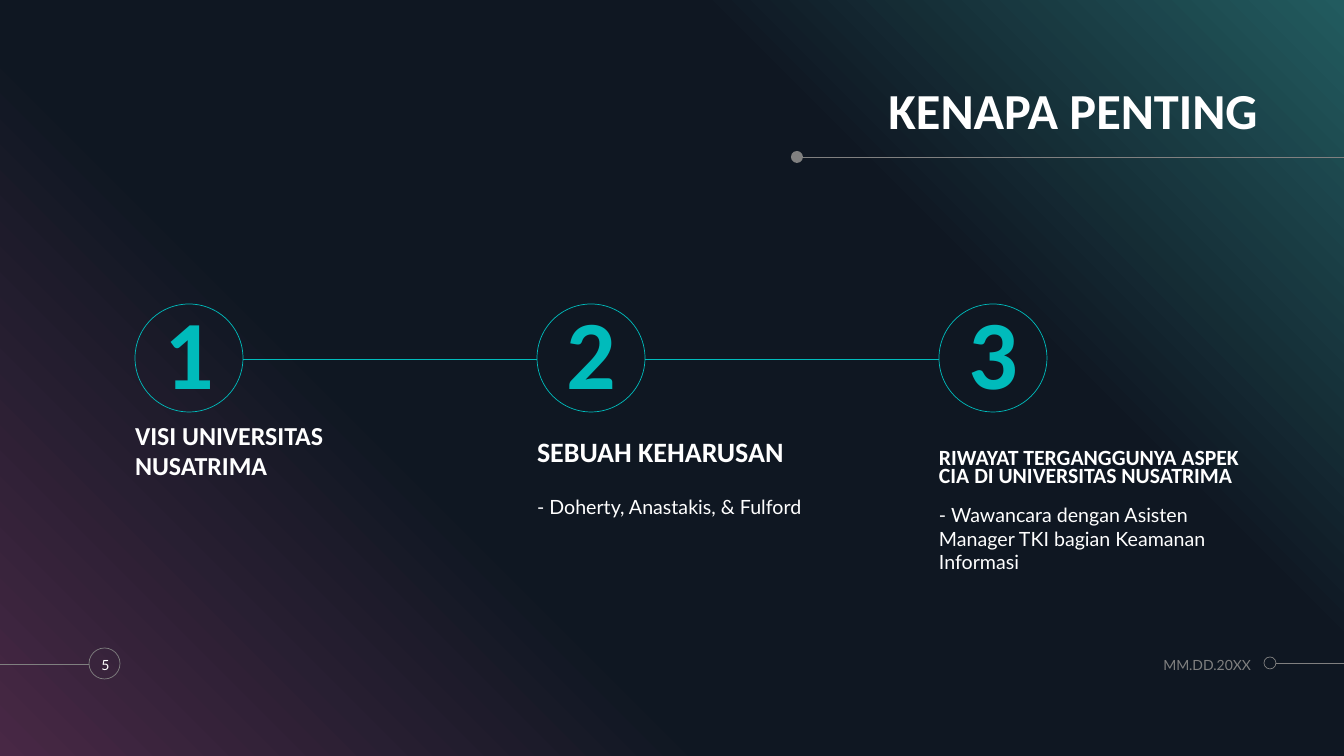
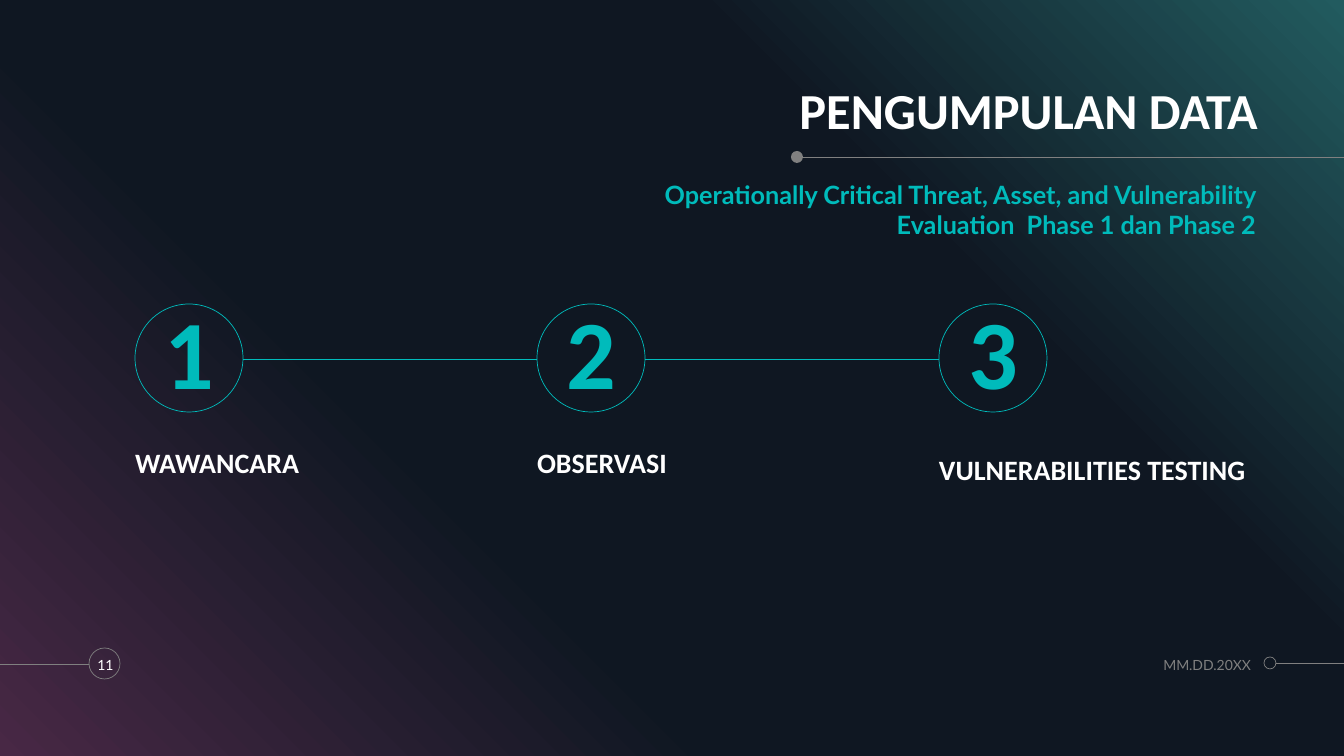
from pptx import Presentation, util as u
from pptx.dml.color import RGBColor
from pptx.enum import shapes, text
from pptx.oxml import parse_xml
from pptx.oxml.ns import nsdecls, qn
from lxml import etree

# Shared look
PX = 914400 / 100.8
WIDE, HIGH = 1344, 756
WHITE = RGBColor(0xFF, 0xFF, 0xFF)
GREY = RGBColor(0x80, 0x80, 0x80)
TEAL = RGBColor(0x00, 0xBB, 0xBB)
STOPS = [(0, "482845"), (34, "0F1722"), (69, "0F1722"), (100, "225B5F")]
HEAD, BODY = "Calibri", "Lato"
LEFT, RIGHT, CENTER = text.PP_ALIGN.LEFT, text.PP_ALIGN.RIGHT, text.PP_ALIGN.CENTER
TOP, MIDDLE, BOTTOM = (text.MSO_ANCHOR.TOP, text.MSO_ANCHOR.MIDDLE,
                       text.MSO_ANCHOR.BOTTOM)

# Step grid
START, STEP, RING, RING_Y = 135, 402, 108, 304
COL, LABEL_Y = 325, 425

# Content: each step has label lines, label height, size, line spacing
# and, where there is one, a note with its top
SLIDES = [
    dict(title="KENAPA PENTING", page="5", steps=[
        dict(label=["VISI UNIVERSITAS", "NUSATRIMA"], high=55, size=18.5, space=0.7),
        dict(label=["SEBUAH KEHARUSAN"], high=44, size=20, space=0.9,
             note="- Doherty, Anastakis, & Fulford", top=495),
        dict(label=["RIWAYAT TERGANGGUNYA ASPEK CIA DI UNIVERSITAS NUSATRIMA"],
             high=62, size=15.5, space=0.7,
             note="- Wawancara dengan Asisten Manager TKI bagian Keamanan Informasi",
             top=503),
    ]),
    dict(title="PENGUMPULAN DATA", page="11",
         sub="Operationally Critical Threat, Asset, and Vulnerability "
             "Evaluation  Phase 1 dan Phase 2",
         steps=[
             dict(label=["WAWANCARA"], high=55, size=20, space=0.9),
             dict(label=["OBSERVASI"], high=55, size=20, space=0.9),
             dict(label=["VULNERABILITIES TESTING"], high=62, size=20, space=0.9),
         ]),
]


def px(*nums):
    return [u.Emu(round(n * PX)) for n in nums]


def write(shape, lines, size, color, font=BODY, bold=False, align=LEFT,
          anchor=TOP, space=1.0, before=0):
    frame = shape.text_frame
    frame.word_wrap = True
    frame.vertical_anchor = anchor
    frame.margin_left = frame.margin_right = 0
    frame.margin_top = frame.margin_bottom = 0
    frame.text = "\n".join(lines)
    for para in frame.paragraphs:
        para.alignment = align
        para.line_spacing = space
        para.space_before = u.Pt(before)
        para.font.size = u.Pt(size)
        para.font.name = font
        para.font.bold = bold
        para.font.color.rgb = color


def label(slide, box, lines, size, color, **style):
    write(slide.shapes.add_textbox(*px(*box)), lines, size, color, **style)


def rule(slide, x1, x2, y, color):
    line = slide.shapes.add_connector(shapes.MSO_CONNECTOR.STRAIGHT,
                                      *px(x1, y, x2, y))
    line.line.color.rgb = color
    line.line.width = u.Pt(0.5)
    etree.SubElement(line._element.spPr, qn("a:effectLst"))


def ring(slide, x, y, size, color, solid=False):
    oval = slide.shapes.add_shape(shapes.MSO_SHAPE.OVAL, *px(x, y, size, size))
    oval.shadow.inherit = False
    if solid:
        oval.fill.solid()
        oval.fill.fore_color.rgb = color
        oval.line.fill.background()
    else:
        oval.fill.background()
        oval.line.color.rgb = color
        oval.line.width = u.Pt(0.5)
    return oval


def backdrop(slide):
    rect = slide.shapes.add_shape(shapes.MSO_SHAPE.RECTANGLE,
                                  *px(0, 0, WIDE, HIGH))
    rect.shadow.inherit = False
    rect.line.fill.background()
    rect.fill.gradient()
    rect.fill.gradient_angle = 45
    stops = rect._element.spPr.find(qn("a:gradFill")).find(qn("a:gsLst"))
    for old in list(stops):
        stops.remove(old)
    for pos, color in STOPS:
        stops.append(parse_xml(
            f'<a:gs {nsdecls("a")} pos="{pos * 1000}">'
            f'<a:srgbClr val="{color}"/></a:gs>'))


def frame(slide, title, page):
    backdrop(slide)
    # Title and its rule
    rule(slide, 800, WIDE, 157, GREY)
    ring(slide, 791, 151, 12, GREY, solid=True)
    label(slide, (562, 78, 696, 62), [title], 36, WHITE, font=HEAD, bold=True,
          align=RIGHT, anchor=BOTTOM, space=0.9)
    # Footer
    rule(slide, 1276, WIDE, 663, GREY)
    ring(slide, 1264, 657, 12, GREY)
    rule(slide, 0, 89, 664, GREY)
    ring(slide, 89, 648, 31, GREY)
    label(slide, (1104, 648, 147, 33), ["MM.DD.20XX"], 10, GREY,
          align=RIGHT, anchor=MIDDLE)
    label(slide, (86, 648, 39, 33), [page], 10, WHITE,
          align=CENTER, anchor=MIDDLE)


def chain(slide, steps):
    for i, step in enumerate(steps):
        x = START + i * STEP
        if i:
            rule(slide, x - STEP + RING, x, 359, TEAL)
        write(ring(slide, x, RING_Y, RING, TEAL), [str(i + 1)], 70, TEAL,
              font=HEAD, bold=True, align=CENTER, anchor=MIDDLE,
              space=0.9, before=10)
        label(slide, (x, LABEL_Y, COL, step["high"]), step["label"],
              step["size"], WHITE, font=HEAD, bold=True, anchor=BOTTOM,
              space=step["space"], before=6)
        if "note" in step:
            label(slide, (x, step["top"], COL, 627 - step["top"]),
                  [step["note"]], 14, WHITE, before=6)


def main():
    deck = Presentation()
    deck.slide_width, deck.slide_height = px(WIDE, HIGH)
    for data in SLIDES:
        slide = deck.slides.add_slide(deck.slide_layouts[6])
        frame(slide, data["title"], data["page"])
        if "sub" in data:
            label(slide, (562, 179, 694, 62), [data["sub"]], 18, TEAL,
                  bold=True, align=RIGHT, before=10)
        chain(slide, data["steps"])
    deck.save("out.pptx")


if __name__ == "__main__":
    main()
